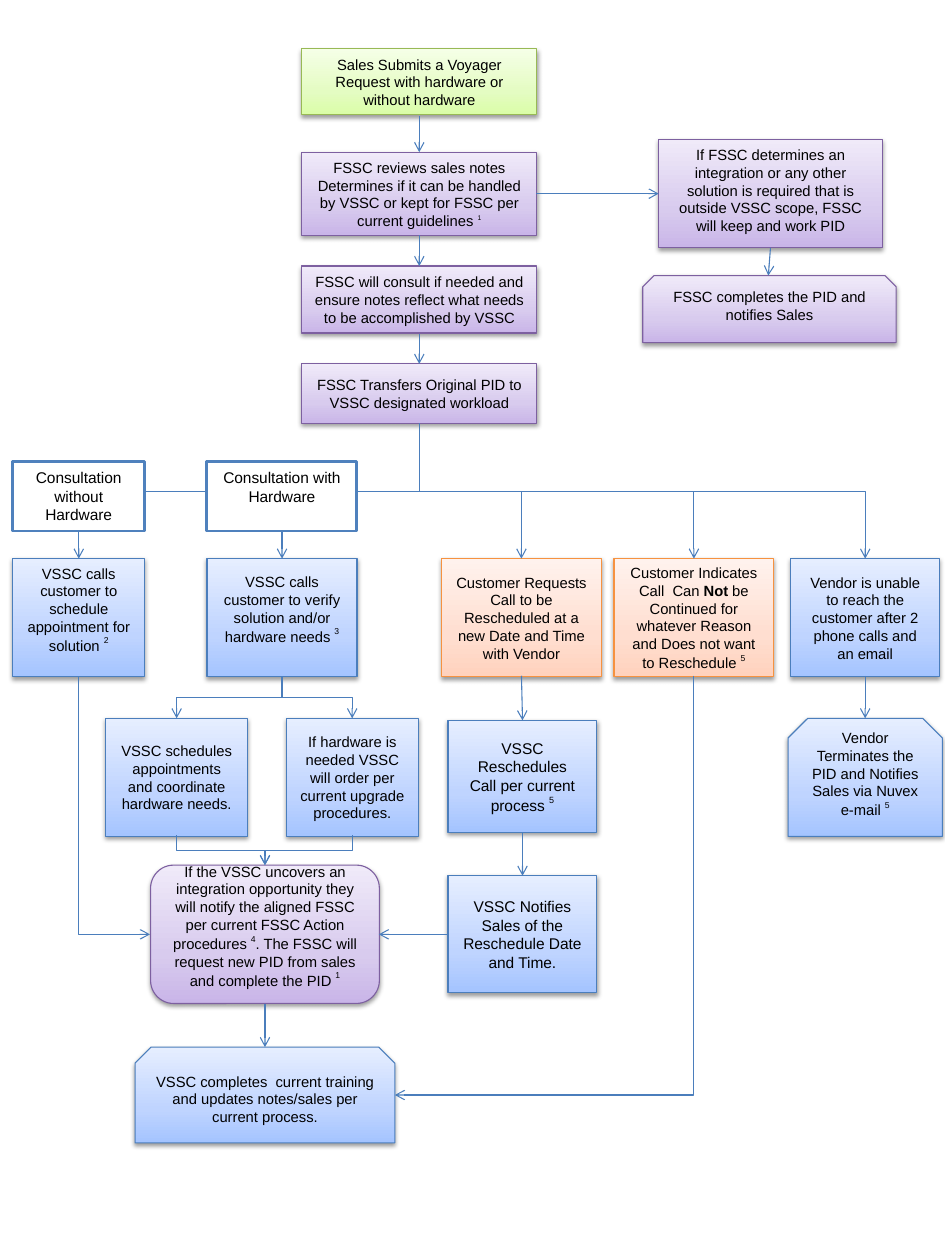
from pptx import Presentation
from pptx.dml.color import RGBColor
from pptx.enum.shapes import MSO_CONNECTOR as Link, MSO_SHAPE as Shape
from pptx.enum.text import MSO_ANCHOR as Anchor, PP_ALIGN as Align
from pptx.oxml import parse_xml
from pptx.oxml.ns import nsdecls
from pptx.util import Inches, Pt

BLACK = RGBColor(0x00, 0x00, 0x00)
WHITE = RGBColor(0xFF, 0xFF, 0xFF)
FRAME = RGBColor(0x4F, 0x81, 0xBD)
ARROW = RGBColor(0x4B, 0x7E, 0xBC)

# Each palette: outline, then the gradient from bottom to top
GREEN = (RGBColor(0x98, 0xB9, 0x55), RGBColor(0xDA, 0xFD, 0xA7),
         RGBColor(0xE4, 0xFC, 0xC2), RGBColor(0xF5, 0xFF, 0xE7))
PURPLE = (RGBColor(0x7D, 0x60, 0xA0), RGBColor(0xC9, 0xB5, 0xE8),
          RGBColor(0xD8, 0xCB, 0xEE), RGBColor(0xF0, 0xEA, 0xF9))
BLUE = (ARROW, RGBColor(0xA4, 0xC4, 0xFF),
        RGBColor(0xBF, 0xD4, 0xFF), RGBColor(0xE6, 0xEE, 0xFF))
ORANGE = (RGBColor(0xF6, 0x92, 0x40), RGBColor(0xFF, 0xD2, 0xBD),
          RGBColor(0xFF, 0xDE, 0xD0), RGBColor(0xFF, 0xF2, 0xED))

# Column centres and row tops of the flow, in inches
MAIN, SIDE, FINISH = 3.94, 7.24, 2.49
WITHOUT, WITH, LATER, STOPPED, UNREACHED = 0.74, 2.65, 4.91, 6.52, 8.13
CHOICE_ROW, CALL_ROW, ACTION_ROW = 4.34, 5.25, 6.75
STEP_WIDTH, CALL_HEIGHT = 2.21, 1.11
RECT, SNIP, ROUND = (Shape.RECTANGLE, Shape.SNIP_2_SAME_RECTANGLE,
                     Shape.FLOWCHART_ALTERNATE_PROCESS)
TOP, MIDDLE = Anchor.TOP, Anchor.MIDDLE

deck = Presentation()
deck.slide_width, deck.slide_height = Inches(8.88), Inches(11.84)
slide = deck.slides.add_slide(deck.slide_layouts[6])


def add_step(text, column, top, width, height, palette=None, outline=RECT,
             anchor=MIDDLE, size=10, lift=0):
    """Draw a step; in text, |^ starts a raised note and |* a bold part."""
    step = slide.shapes.add_shape(outline, Inches(column - width / 2), Inches(top),
                                  Inches(width), Inches(height))
    if palette:
        edge, *shades = palette
        stops = "".join(f'<a:gs pos="{pos}"><a:srgbClr val="{shade}"/></a:gs>'
                        for pos, shade in zip((0, 35000, 100000), shades))
        step._element.spPr.append(parse_xml(
            f'<a:gradFill {nsdecls("a")} rotWithShape="1"><a:gsLst>{stops}</a:gsLst>'
            '<a:lin ang="16200000" scaled="0"/></a:gradFill>'))
        step.line.color.rgb, step.line.width = edge, Pt(0.75)
        step._element.spPr.append(parse_xml(
            f'<a:effectLst {nsdecls("a")}><a:outerShdw blurRad="40000" dist="20000" '
            'dir="5400000" rotWithShape="0"><a:srgbClr val="000000">'
            '<a:alpha val="38000"/></a:srgbClr></a:outerShdw></a:effectLst>'))
    else:
        step.shadow.inherit = False
        step.fill.solid()
        step.fill.fore_color.rgb = WHITE
        step.line.color.rgb, step.line.width = FRAME, Pt(2)

    frame = step.text_frame
    frame.word_wrap, frame.vertical_anchor = True, anchor
    frame.margin_left = frame.margin_right = Inches(0.12)
    frame.margin_top, frame.margin_bottom = Inches(0.06), Inches(0.06 + lift)
    for number, line in enumerate(text.split("\n")):
        para = frame.add_paragraph() if number else frame.paragraphs[0]
        para.alignment = Align.CENTER
        para.font.name, para.font.size = "Arial", Pt(size)
        para.font.color.rgb = BLACK
        for part in line.split("|"):
            run = para.add_run()
            run.text = part.lstrip("^*")
            if part.startswith("^"):
                run._r.get_or_add_rPr().set("baseline", "50000")
            elif part.startswith("*"):
                run.font.bold = True
    return step


def add_arrow(x1, y1, x2, y2, bend=None):
    """Draw an arrow; a bent one leaves its start vertically."""
    if bend:
        # The elbow is laid out sideways around its centre, then turned upright
        mid_x, mid_y = (x1 + x2) / 2, (y1 + y2) / 2
        run, rise = (y2 - y1) / 2, abs(x2 - x1) / 2
        ends = mid_x - run, mid_y - rise, mid_x + run, mid_y + rise
    else:
        ends = x1, y1, x2, y2
    arrow = slide.shapes.add_connector(Link.ELBOW if bend else Link.STRAIGHT,
                                       *(int(Inches(end)) for end in ends))
    props = arrow._element.spPr
    if bend:
        props.prstGeom.set("prst", bend)
        props.xfrm.set("rot", "16200000" if x2 > x1 else "5400000")
        if x2 > x1:
            props.xfrm.set("flipH", "1")
    arrow.line.color.rgb, arrow.line.width = ARROW, Pt(0.75)
    arrow.line._get_or_add_ln().append(
        parse_xml(f'<a:tailEnd {nsdecls("a")} type="arrow"/>'))
    props.append(parse_xml(f'<a:effectLst {nsdecls("a")}/>'))


# Request and review
add_step("Sales Submits a Voyager Request with hardware or without hardware",
         MAIN, 0.46, STEP_WIDTH, 0.62, GREEN)
review = add_step("FSSC reviews sales notes Determines if it can be handled by VSSC "
                  "or kept for FSSC per current guidelines |^1",
                  MAIN, 1.43, STEP_WIDTH, 0.78, PURPLE, anchor=TOP)
review.text_frame.paragraphs[0].runs[-1].font.size = Pt(8)
add_step("FSSC will consult if needed and ensure notes reflect what needs to be "
         "accomplished by VSSC", MAIN, 2.5, STEP_WIDTH, 0.63, PURPLE)
add_step("FSSC Transfers Original PID to VSSC designated workload",
         MAIN, 3.42, STEP_WIDTH, 0.56, PURPLE)

# Work kept by FSSC
add_step("If FSSC determines an integration or any other solution is required that "
         "is outside VSSC scope, FSSC will keep and work PID",
         SIDE, 1.31, 2.11, 1.02, PURPLE, anchor=TOP)
add_step("FSSC completes the PID and notifies Sales",
         SIDE - 0.01, 2.59, 2.38, 0.63, PURPLE, SNIP, TOP)

# Calls
add_step("VSSC calls customer to schedule appointment for solution |^2",
         WITHOUT, CALL_ROW, 1.24, CALL_HEIGHT, BLUE, lift=0.16)
add_step("VSSC calls customer to verify solution and/or hardware needs |^3",
         WITH, CALL_ROW, 1.41, CALL_HEIGHT, BLUE, lift=0.16)
add_step("Customer Requests Call to be Rescheduled at a new Date and Time with Vendor",
         LATER - 0.01, CALL_ROW, 1.5, CALL_HEIGHT, ORANGE)
add_step("Customer Indicates Call  Can |*Not| be Continued for whatever Reason and "
         "Does not want to Reschedule |^5", STOPPED, CALL_ROW, 1.5, CALL_HEIGHT, ORANGE)
add_step("Vendor is unable to reach the customer after 2 phone calls and an email",
         UNREACHED, CALL_ROW, 1.4, CALL_HEIGHT, BLUE)

# Actions after the calls
add_step("VSSC schedules appointments and coordinate hardware needs.",
         1.66, ACTION_ROW, 1.33, CALL_HEIGHT, BLUE)
add_step("If hardware is needed VSSC will order per current upgrade procedures.",
         3.31, ACTION_ROW, 1.24, CALL_HEIGHT, BLUE)
add_step("VSSC Reschedules\nCall per current process |^5",
         LATER, 6.77, 1.4, 1.05, BLUE, size=10.5)
add_step("VSSC Notifies Sales of the Reschedule Date and Time.",
         LATER, 8.23, 1.4, 1.1, BLUE, size=10.5)
add_step("Vendor Terminates the PID and Notifies Sales via Nuvex e-mail |^5",
         UNREACHED, ACTION_ROW, 1.45, CALL_HEIGHT, BLUE, SNIP, lift=0.16)

# Completion
add_step("If the VSSC uncovers an integration opportunity they will notify the aligned "
         "FSSC per current FSSC Action procedures |^4|. The FSSC will request new PID "
         "from sales and complete the PID |^1",
         FINISH, 8.13, 2.15, 1.3, PURPLE, ROUND, lift=0.16)
add_step("VSSC completes  current training and updates notes/sales per current process.",
         FINISH, 9.84, 2.44, 0.9, BLUE, SNIP)

# Straight arrows
for ends in ((MAIN, 1.09, MAIN, 1.43), (MAIN, 2.21, MAIN, 2.5),
             (MAIN, 3.14, MAIN, 3.42), (5.04, 1.82, 6.19, 1.82),
             (SIDE, 2.33, SIDE - 0.02, 2.59), (LATER - 0.01, 6.35, LATER, 6.77),
             (LATER, 7.83, LATER, 8.23), (UNREACHED, 6.35, UNREACHED, ACTION_ROW),
             (4.21, 8.78, 3.56, 8.78), (FINISH, 9.43, FINISH, 9.84)):
    add_arrow(*ends)

# Branches to the calls, to the hardware actions and back together
for column in (WITHOUT, WITH, LATER - 0.01, STOPPED, UNREACHED):
    add_arrow(MAIN, 3.98, column, CALL_ROW, "bentConnector3")
for column in (1.66, 3.31):
    add_arrow(WITH, 6.36, column, ACTION_ROW, "bentConnector3")
    add_arrow(column, 7.85, FINISH, 8.13, "bentConnector3")
add_arrow(WITHOUT, 6.36, 1.41, 8.78, "bentConnector2")
add_arrow(STOPPED, 6.35, 3.71, 10.29, "bentConnector2")

# Consultation choices, over the branch line
for text, column, width in (("Consultation with Hardware", WITH, 1.41),
                            ("Consultation without Hardware", WITHOUT, 1.24)):
    add_step(text, column, CHOICE_ROW, width, 0.65, anchor=TOP, size=10.5)

deck.save("out.pptx")
